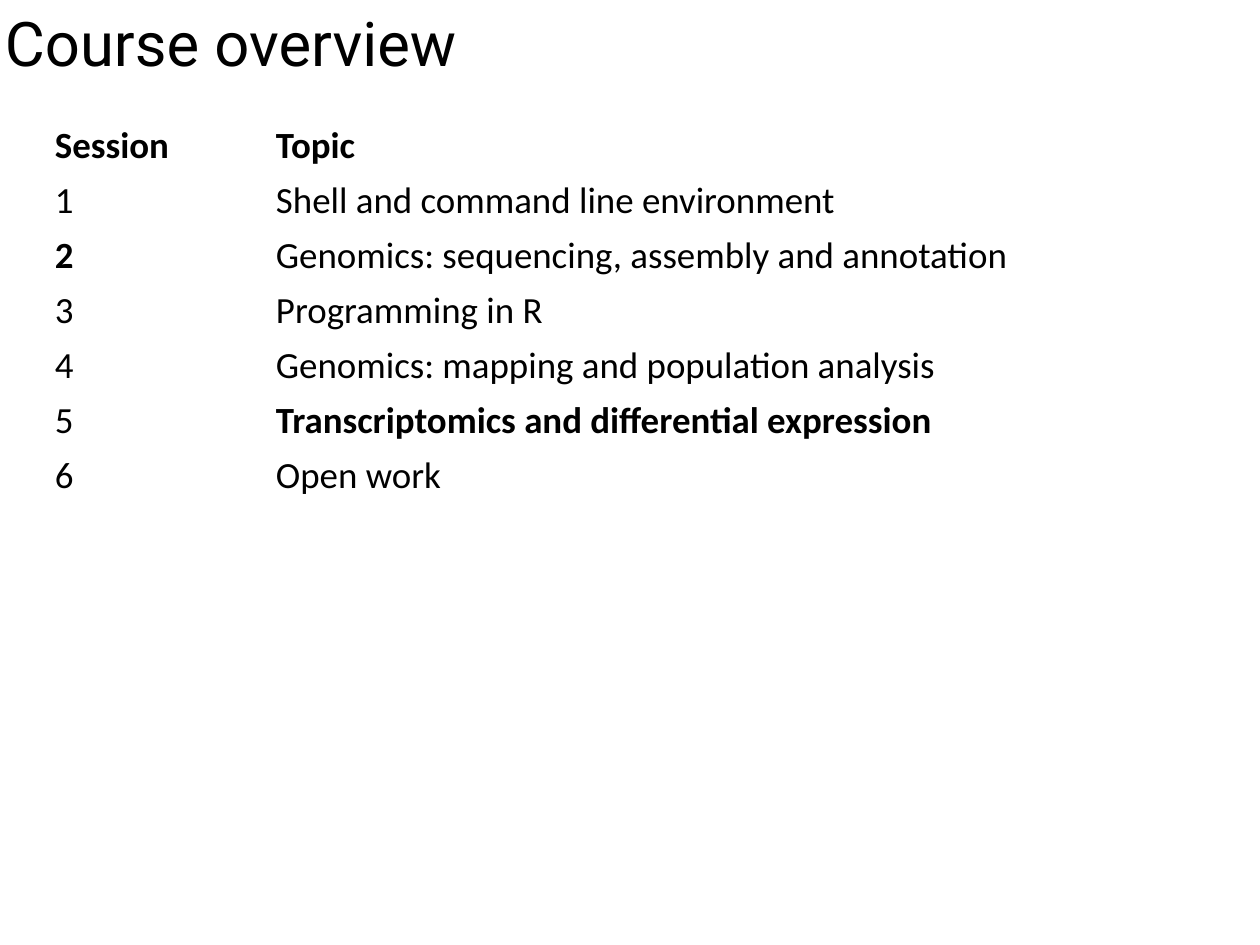
from dataclasses import dataclass

from pptx import Presentation
from pptx.dml.color import RGBColor
from pptx.enum.text import MSO_ANCHOR, PP_ALIGN
from pptx.util import Pt

EMU_PER_PX = 10320
TITLE_ONLY = 5


@dataclass(frozen=True)
class Theme:
    ink: RGBColor = RGBColor(0, 0, 0)
    title_font: str = "Roboto"
    body_font: str = "Calibri"
    title_size: int = 50
    body_size: int = 30
    inset: int = 5


def px(length):
    return length * EMU_PER_PX


class SlideBuilder:
    def __init__(self, deck, theme):
        self.theme = theme
        self.page = deck.slides.add_slide(deck.slide_layouts[TITLE_ONLY])

    def format_text(self, para, font, size, bold=False):
        para.alignment = PP_ALIGN.LEFT
        for span in para.runs:
            span.font.name = font
            span.font.size = Pt(size)
            span.font.bold = bold
            span.font.color.rgb = self.theme.ink

    def set_insets(self, box):
        inset = px(self.theme.inset)
        box.margin_left = box.margin_right = inset
        box.margin_top = box.margin_bottom = inset

    def title(self, text, left, top, width, height):
        box = self.page.shapes.title
        box.left, box.top, box.width, box.height = map(px, (left, top, width, height))
        frame = box.text_frame
        frame.text = text
        frame.word_wrap = True
        frame.vertical_anchor = MSO_ANCHOR.MIDDLE
        self.set_insets(frame)
        self.format_text(frame.paragraphs[0], self.theme.title_font, self.theme.title_size)

    def table(self, rows, bold_texts, left, top, column_widths, row_height):
        table = self.page.shapes.add_table(
            len(rows), len(column_widths), px(left), px(top),
            px(sum(column_widths)), px(row_height * len(rows))).table
        table.first_row = table.horz_banding = False
        for column, width in zip(table.columns, column_widths):
            column.width = px(width)
        for row, texts in zip(table.rows, rows):
            for cell, text in zip(row.cells, texts):
                cell.fill.background()
                cell.vertical_anchor = MSO_ANCHOR.MIDDLE
                self.set_insets(cell)
                para = cell.text_frame.paragraphs[0]
                para.text = text
                self.format_text(para, self.theme.body_font, self.theme.body_size,
                                 text in bold_texts)


def main():
    deck = Presentation()
    deck.slide_width, deck.slide_height = px(1260), px(945)
    builder = SlideBuilder(deck, Theme())

    # Title
    builder.title("Course overview", 0, 0, 624, 84)

    # Sessions, numbered from 1
    header = ("Session", "Topic")
    topics = [
        "Shell and command line environment",
        "Genomics: sequencing, assembly and annotation",
        "Programming in R",
        "Genomics: mapping and population analysis",
        "Transcriptomics and differential expression",
        "Open work",
    ]
    sessions = [(str(number), topic) for number, topic in enumerate(topics, 1)]
    bold_texts = {*header, "2", "Transcriptomics and differential expression"}
    builder.table([header, *sessions], bold_texts, left=50, top=118,
                  column_widths=(221, 811), row_height=55)

    deck.save("out.pptx")


if __name__ == "__main__":
    main()
